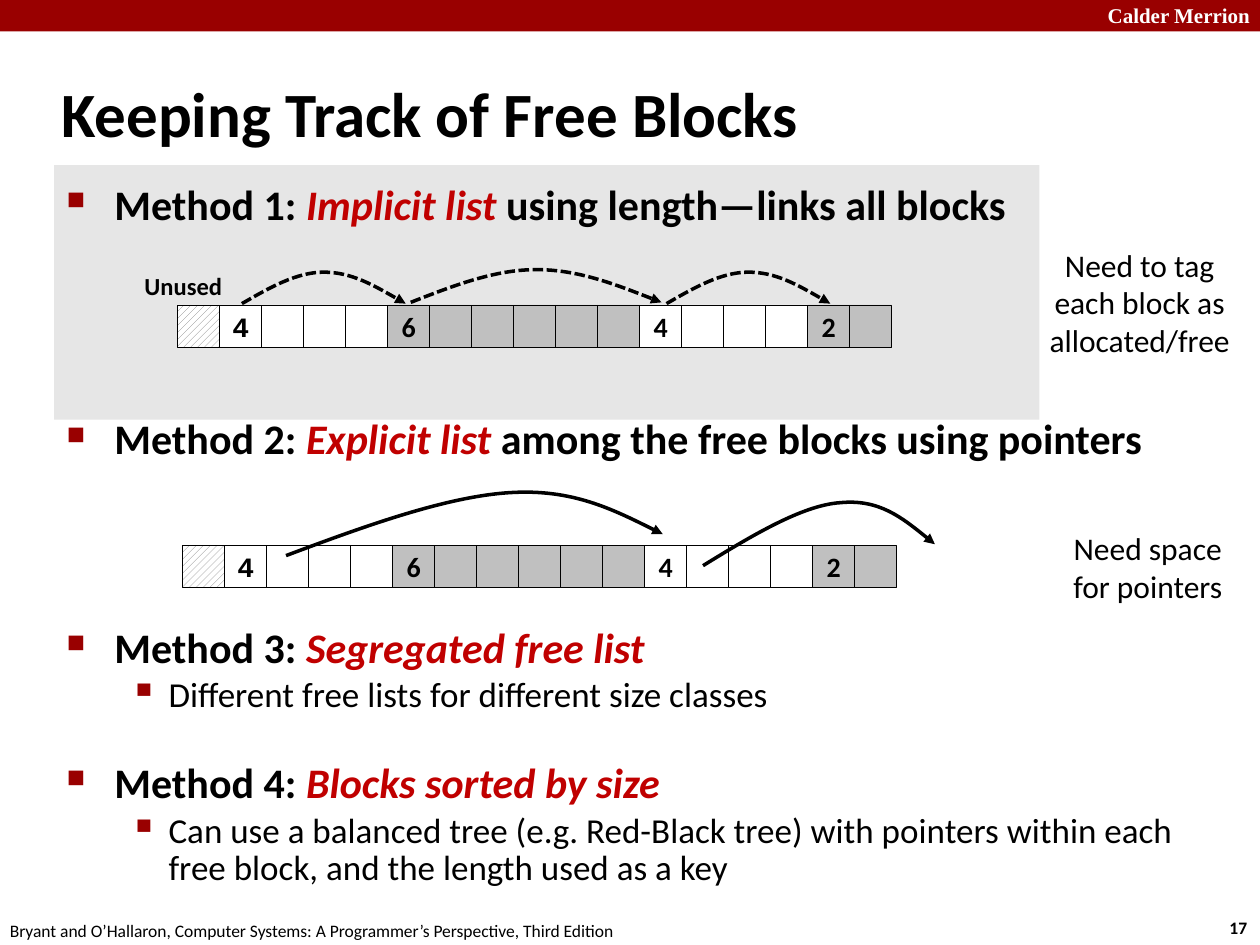
from pptx import Presentation
from pptx.dml.color import RGBColor
from pptx.enum.dml import MSO_LINE, MSO_PATTERN
from pptx.enum.shapes import MSO_SHAPE
from pptx.enum.text import MSO_ANCHOR, PP_ALIGN
from pptx.oxml.ns import qn
from pptx.util import Inches, Pt
from lxml.etree import SubElement

BLACK = RGBColor(0, 0, 0)
WHITE = RGBColor(255, 255, 255)
MAROON = RGBColor(0x99, 0, 0)
RED = RGBColor(0xC0, 0, 0)
PALE = RGBColor(0xE6, 0xE6, 0xE6)
GRAY = RGBColor(0xC0, 0xC0, 0xC0)
HATCH = RGBColor(0x80, 0x80, 0x80)
LEFT, MID, RIGHT = PP_ALIGN.LEFT, PP_ALIGN.CENTER, PP_ALIGN.RIGHT


class Deck:
    font = "Calibri"
    cell = 1 / 3

    def __init__(self, slide):
        self.slide = slide

    def style(self, run, size, color=BLACK, bold=False, italic=False, font=None):
        run.font.name = font or self.font
        run.font.size = Pt(size)
        run.font.bold = bold
        run.font.italic = italic
        run.font.color.rgb = color

    def rect(self, x, y, w, h, fill, line=None):
        box = self.slide.shapes.add_shape(
            MSO_SHAPE.RECTANGLE, Inches(x), Inches(y), Inches(w), Inches(h))
        box.shadow.inherit = False
        box.fill.solid()
        box.fill.fore_color.rgb = fill
        if line:
            box.line.color.rgb = line
            box.line.width = Pt(0.26)
        else:
            box.line.fill.background()
        return box

    def text(self, x, y, w, h, words, size, align=LEFT, wrap=False,
             anchor=MSO_ANCHOR.TOP, **look):
        box = self.slide.shapes.add_textbox(
            Inches(x), Inches(y), Inches(w), Inches(h))
        frame = box.text_frame
        frame.word_wrap = wrap
        frame.vertical_anchor = anchor
        frame.text = words
        for para in frame.paragraphs:
            para.alignment = align
            for run in para.runs:
                self.style(run, size, **look)
        return frame

    def bullet(self, para, level, gap, spacing, parts):
        left, hang, mark, scale = [(0.38, 0.38, "■", 60),
                                   (0.81, 0.31, "▪", 110)][level]
        para.level = level
        para.space_before = Pt(gap)
        para.line_spacing = spacing
        props = para._p.get_or_add_pPr()
        props.set("marL", str(Inches(left)))
        props.set("indent", str(-Inches(hang)))
        tint = SubElement(props, qn("a:buClr"))
        SubElement(tint, qn("a:srgbClr"), val=str(MAROON))
        SubElement(props, qn("a:buSzPct"), val=str(scale * 1000))
        SubElement(props, qn("a:buChar"), char=mark)
        for words, key in parts:
            run = para.add_run()
            run.text = words
            self.style(run, 20 if level else 24, RED if key else BLACK,
                       bold=level == 0, italic=key)

    def heap(self, x, y, blocks):
        # Unused word, then each block with its length in the first cell
        spare = self.rect(x, y, self.cell, self.cell, WHITE, BLACK)
        spare.fill.patterned()
        spare.fill.pattern = MSO_PATTERN.WIDE_UPWARD_DIAGONAL
        spare.fill.fore_color.rgb = HATCH
        spare.fill.back_color.rgb = WHITE
        spot = 1
        for size, fill, font in blocks:
            for i in range(size):
                box = self.rect(x + spot * self.cell, y, self.cell, self.cell,
                                fill, BLACK)
                spot += 1
                if i == 0:
                    self.label(box, str(size), font)

    def label(self, box, words, font):
        frame = box.text_frame
        frame.word_wrap = False
        frame.vertical_anchor = MSO_ANCHOR.MIDDLE
        frame.text = words
        para = frame.paragraphs[0]
        para.alignment = MID
        self.style(para.runs[0], 16, bold=True, font=font)

    def arc(self, points, dashed=False):
        spots = [(Inches(x), Inches(y)) for x, y in points]
        build = self.slide.shapes.build_freeform(*spots[0])
        build.add_line_segments(spots[1:], close=False)
        curve = build.convert_to_shape()
        curve.shadow.inherit = False
        curve.fill.background()
        curve.line.color.rgb = BLACK
        curve.line.width = Pt(2)
        if dashed:
            curve.line.dash_style = MSO_LINE.SQUARE_DOT
        # Every three points after the first make one Bezier segment
        steps = list(curve._element.iter(qn("a:lnTo")))
        route = steps[0].getparent()
        for i in range(0, len(steps), 3):
            bend = SubElement(route, qn("a:cubicBezTo"))
            for step in steps[i:i + 3]:
                bend.append(step[0])
                route.remove(step)
        SubElement(curve.line._get_or_add_ln(), qn("a:tailEnd"), type="triangle")


show = Presentation()
show.slide_width, show.slide_height = Inches(10), Inches(7.5)
deck = Deck(show.slides.add_slide(show.slide_layouts[6]))

# Header and footer
deck.rect(0, 0, 10, 0.25, MAROON)
deck.text(8.64, -0.03, 1.38, 0.3, "Calder Merrion", 12, RIGHT,
          color=WHITE, bold=True, font="Times New Roman")
deck.text(9.66, 7.23, 0.37, 0.27, "17", 10, bold=True)
deck.text(-0.02, 7.25, 5.08, 0.27, "Bryant and O’Hallaron, Computer Systems: "
          "A Programmer’s Perspective, Third Edition", 10)

# Title and methods
deck.rect(0.43, 1.31, 7.82, 2.02, PALE)
deck.text(0.39, 0.48, 8.3, 0.83, "Keeping Track of Free Blocks", 36, wrap=True,
          anchor=MSO_ANCHOR.MIDDLE, bold=True)
METHODS = [
    (0, 0, 1.0, [("Method 1: ", False), ("Implicit list ", True),
                 ("using length—links all blocks", False)]),
    (0, 105, 1.0, [("Method 2: ", False), ("Explicit list ", True),
                   ("among the free blocks using pointers", False)]),
    (0, 95, 0.83, [("Method 3: ", False), ("Segregated free list", True)]),
    (1, 4, 0.88, [("Different free lists for different size classes", False)]),
    (0, 28.5, 0.83, [("Method 4: ", False), ("Blocks sorted by size", True)]),
    (1, 4, 0.88, [("Can use a balanced tree (e.g. Red-Black tree) with pointers "
                   "within each free block, and the length used as a key", False)]),
]
body = deck.text(0.43, 1.37, 9.07, 5.88, "", 24, wrap=True)
for i, method in enumerate(METHODS):
    deck.bullet(body.add_paragraph() if i else body.paragraphs[0], *method)

# Implicit links
for left, right, top, base in [(1.92, 3.22, 2.16, 2.41), (3.26, 5.25, 2.14, 2.4),
                               (5.29, 6.59, 2.16, 2.41)]:
    peak, pull = (left + right) / 2, (right - left) / 6
    rise = (top + base) / 2
    deck.arc([(left, base), (left + pull, rise), (peak - pull, top), (peak, top),
              (peak + pull, top), (right - pull, rise), (right, base)], dashed=True)

# Side notes
deck.text(8.22, 1.9, 1.65, 1.01, "Need to tag\neach block as\nallocated/free",
          18, MID)
deck.text(8.39, 4.15, 1.44, 0.71, "Need space\nfor pointers", 18, MID)
deck.text(1, 2.08, 0.91, 0.37, "Unused", 14, MID, anchor=MSO_ANCHOR.MIDDLE,
          bold=True)

# Heaps
BLOCKS = [(4, WHITE, "Courier New"), (6, GRAY, None), (4, WHITE, None),
          (2, GRAY, None)]
for x, y in [(1.41, 2.42), (1.45, 4.33)]:
    deck.heap(x, y, BLOCKS)

# Explicit pointers
deck.arc([(2.27, 4.41), (2.91, 4.17), (3.55, 3.94), (4.05, 3.91),
          (4.54, 3.88), (4.9, 4.06), (5.26, 4.24)])
deck.arc([(5.58, 4.49), (5.97, 4.25), (6.37, 4.01), (6.67, 3.99),
          (6.98, 3.96), (7.2, 4.14), (7.42, 4.32)])

show.save("out.pptx")
